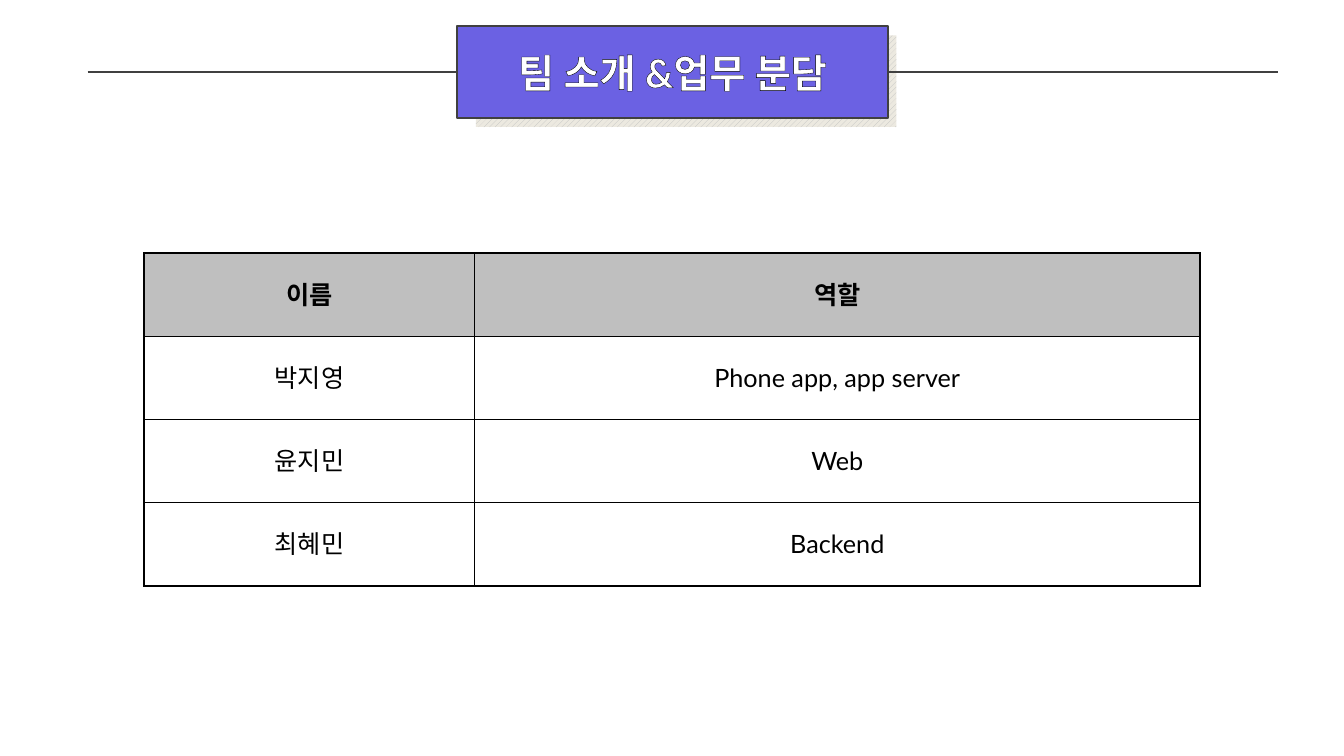
from lxml import etree
from pptx import Presentation
from pptx.dml.color import RGBColor
from pptx.enum.dml import MSO_PATTERN
from pptx.enum.shapes import MSO_CONNECTOR, MSO_SHAPE
from pptx.enum.text import MSO_ANCHOR, PP_ALIGN
from pptx.oxml.ns import qn
from pptx.util import Inches, Pt

RECTANGLE = MSO_SHAPE.RECTANGLE
STRAIGHT = MSO_CONNECTOR.STRAIGHT
WIDE_UPWARD = MSO_PATTERN.WIDE_UPWARD_DIAGONAL
MIDDLE = MSO_ANCHOR.MIDDLE
CENTER = PP_ALIGN.CENTER

BLACK = RGBColor(0x00, 0x00, 0x00)
WHITE = RGBColor(0xFF, 0xFF, 0xFF)
CHARCOAL = RGBColor(0x40, 0x40, 0x40)
GRAY = RGBColor(0xBF, 0xBF, 0xBF)
CREAM = RGBColor(0xEC, 0xE9, 0xE0)
VIOLET = RGBColor(0x6B, 0x61, 0xE3)

FONT = "Lato"
TITLE_FORMAT = {"size": Pt(28), "bold": True, "color": WHITE}
HEADER_FORMAT = {"size": Pt(18), "bold": True, "color": BLACK}
BODY_FORMAT = {**HEADER_FORMAT, "bold": False}

TEAM = [
    ("이름", "역할"),
    ("박지영", "Phone app, app server"),
    ("윤지민", "Web"),
    ("최혜민", "Backend"),
]


def add_outline(parent, tag, width, color, position):
    line = etree.Element(qn(tag), w=str(Pt(width)))
    fill = etree.SubElement(line, qn("a:solidFill"))
    etree.SubElement(fill, qn("a:srgbClr"), val=str(color))
    parent.insert(position, line)


class SlideBuilder:
    """Places elements on one slide; lengths are percentages of its size."""

    def __init__(self, presentation):
        self.width = presentation.slide_width
        self.height = presentation.slide_height
        self.slide = presentation.slides.add_slide(presentation.slide_layouts[6])
        self.shapes = self.slide.shapes

    def across(self, share):
        return round(self.width * share / 100)

    def down(self, share):
        return round(self.height * share / 100)

    def box(self, left, top, width, height):
        return (self.across(left), self.down(top),
                self.across(width), self.down(height))

    def rectangle(self, *place):
        shape = self.shapes.add_shape(RECTANGLE, *self.box(*place))
        shape.shadow.inherit = False
        return shape

    def hatched_rectangle(self, *place):
        shape = self.rectangle(*place)
        shape.fill.patterned()
        shape.fill.pattern = WIDE_UPWARD
        shape.fill.fore_color.rgb = GRAY
        shape.fill.back_color.rgb = CREAM
        shape.line.fill.background()

    def rule(self, left, right, top):
        y = self.down(top)
        connector = self.shapes.add_connector(
            STRAIGHT, self.across(left), y, self.across(right), y)
        connector.line.color.rgb = CHARCOAL
        connector.line.width = Pt(1.5)
        etree.SubElement(connector._element.spPr, qn("a:effectLst"))

    def text(self, frame, wording, format_values):
        paragraph = frame.paragraphs[0]
        paragraph.alignment = CENTER
        run = paragraph.add_run()
        run.text = wording
        run.font.name = FONT
        for name, value in format_values.items():
            if name == "color":
                run.font.color.rgb = value
            else:
                setattr(run.font, name, value)
        properties = run.font._element
        etree.SubElement(properties, qn("a:ea"), typeface=FONT)
        return properties

    def title(self, wording, *place):
        shape = self.rectangle(*place)
        shape.fill.solid()
        shape.fill.fore_color.rgb = VIOLET
        shape.line.color.rgb = CHARCOAL
        shape.line.width = Pt(1.5)
        frame = shape.text_frame
        frame.word_wrap = True
        frame.vertical_anchor = MIDDLE
        properties = self.text(frame, wording, TITLE_FORMAT)
        add_outline(properties, "a:ln", 0.75, BLACK, 0)

    def table(self, rows, left, top, column_widths, row_height):
        """Draws a table with a gray header and a heavier outer border."""
        place = self.box(left, top, sum(column_widths), row_height * len(rows))
        table = self.shapes.add_table(len(rows), len(column_widths), *place).table
        table.horz_banding = False
        for column, width in zip(table.columns, column_widths):
            column.width = self.across(width)
        last_row, last_column = len(rows) - 1, len(column_widths) - 1
        for row_index, row in enumerate(rows):
            table.rows[row_index].height = self.down(row_height)
            is_header = row_index == 0
            for column_index, wording in enumerate(row):
                cell = table.cell(row_index, column_index)
                cell.vertical_anchor = MIDDLE
                self.text(cell.text_frame, wording,
                          HEADER_FORMAT if is_header else BODY_FORMAT)
                outer_sides = {
                    "a:lnL": column_index == 0,
                    "a:lnR": column_index == last_column,
                    "a:lnT": is_header,
                    "a:lnB": row_index == last_row,
                }
                properties = cell._tc.get_or_add_tcPr()
                for position, (side, is_outer) in enumerate(outer_sides.items()):
                    add_outline(properties, side, 1.5 if is_outer else 1,
                                BLACK, position)
                if is_header:
                    cell.fill.solid()
                    cell.fill.fore_color.rgb = GRAY
                else:
                    cell.fill.background()


def main():
    presentation = Presentation()
    presentation.slide_width = Inches(13.33)
    presentation.slide_height = Inches(7.5)
    builder = SlideBuilder(presentation)
    builder.hatched_rectangle(35.41, 4.67, 31.28, 12.13)
    builder.rule(6.53, 95.12, 9.47)
    builder.title("팀 소개 &업무 분담", 33.98, 3.47, 32.11, 12.13)
    builder.table(TEAM, 10.73, 33.47, (24.6, 53.94), 11)
    presentation.save("out.pptx")


if __name__ == "__main__":
    main()
